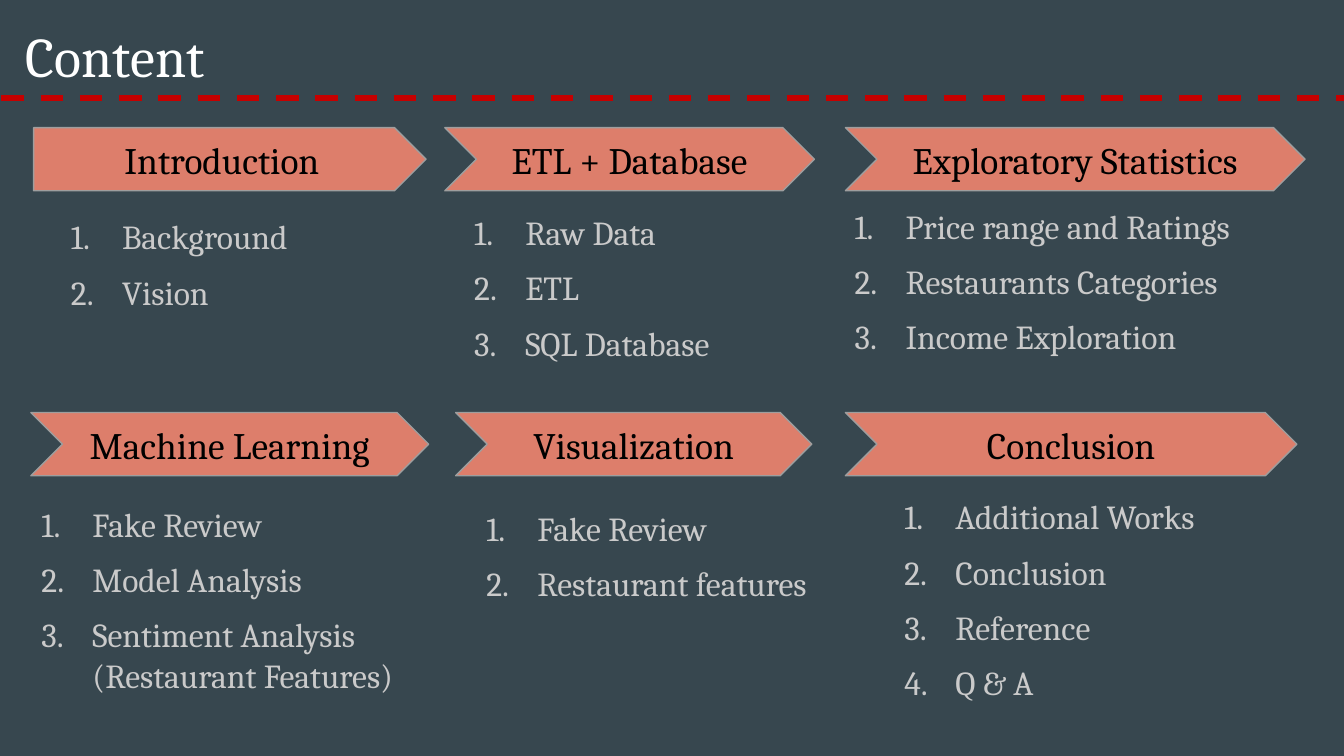
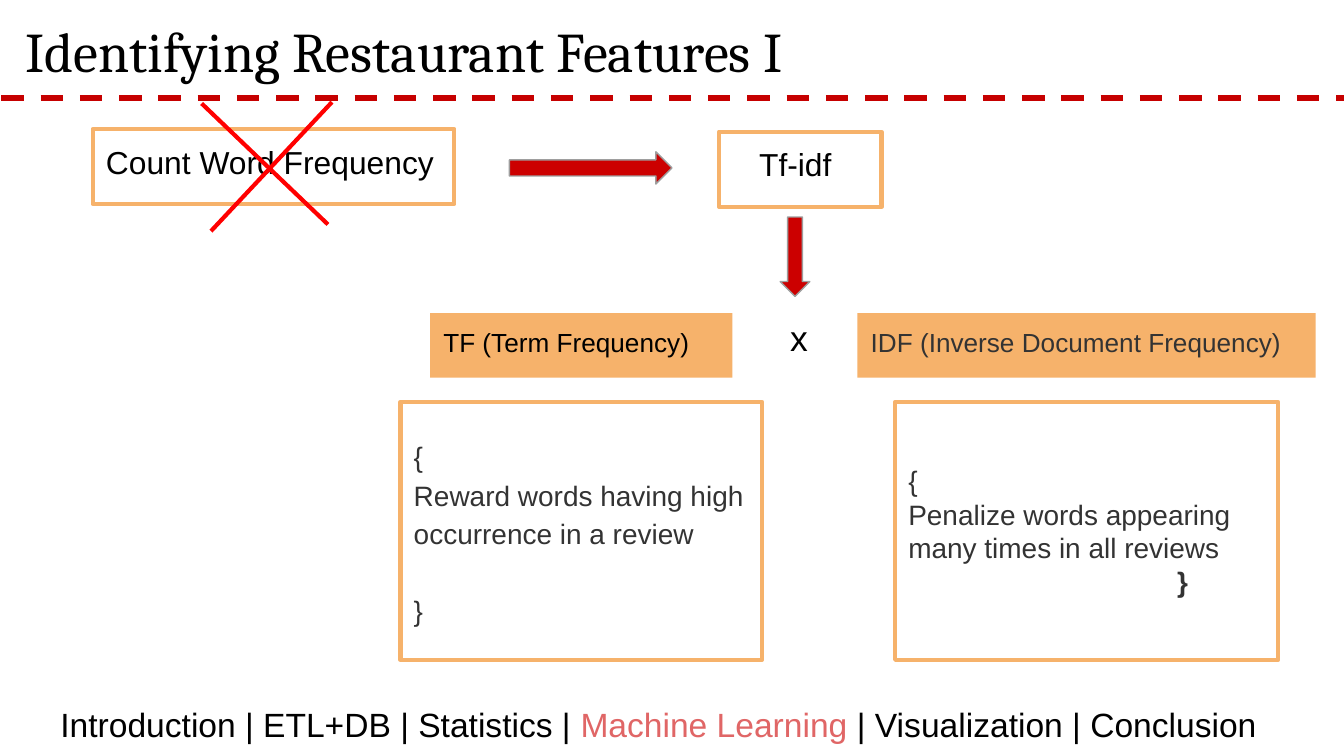
from dataclasses import dataclass

from lxml import etree
from pptx import Presentation
from pptx.dml.color import RGBColor
from pptx.enum.dml import MSO_LINE
from pptx.enum.shapes import MSO_CONNECTOR, MSO_SHAPE
from pptx.enum.text import MSO_ANCHOR, MSO_AUTO_SIZE, PP_ALIGN
from pptx.oxml.ns import qn
from pptx.util import Inches, Pt

RECT, ARROW = MSO_SHAPE.RECTANGLE, MSO_SHAPE.RIGHT_ARROW
PENTAGON, CHEVRON = MSO_SHAPE.PENTAGON, MSO_SHAPE.CHEVRON
TOP, MIDDLE = MSO_ANCHOR.TOP, MSO_ANCHOR.MIDDLE
LEFT, CENTER = PP_ALIGN.LEFT, PP_ALIGN.CENTER


@dataclass(frozen=True)
class Theme:
    serif: str = "Cambria"
    sans: str = "Arial"
    slate: str = "37474F"
    white: str = "FFFFFF"
    black: str = "000000"
    dark: str = "333333"
    pale: str = "CACACA"
    gray: str = "9E9E9E"
    salmon: str = "DD7E6B"
    orange: str = "F6B26B"
    rule: str = "C60000"
    arrow: str = "CC0000"
    cross: str = "FF0000"
    active: str = "E06666"
    title_size: int = 30
    banner_size: int = 20
    list_size: int = 18
    step_size: int = 17
    label_size: int = 14
    note_size: int = 15
    times_size: int = 19
    footer_size: int = 18


T = Theme()

# Banner: text, left, width; list: left, top, width, anchor, items
BANNER_H = 0.47
TOPIC_ROWS = [
    {"top": 0.95, "list_h": 1.16, "topics": [
        ("Introduction", 0.25, 2.92, (0.31, 1.51, 2.73, TOP),
         ["Background", "Vision"]),
        ("ETL + Database", 3.31, 2.75, (3.31, 1.56, 2.81, MIDDLE),
         ["Raw Data", "ETL", "SQL Database"]),
        ("Exploratory Statistics", 6.29, 3.42, (6.14, 1.51, 3.66, MIDDLE),
         ["Price range and Ratings", "Restaurants Categories",
          "Income Exploration"]),
    ]},
    {"top": 3.07, "list_h": 1.56, "topics": [
        ("Machine Learning", 0.23, 2.96, (0.09, 3.68, 3.16, MIDDLE),
         ["Fake Review", "Model Analysis",
          "Sentiment Analysis (Restaurant Features)"]),
        ("Visualization", 3.39, 2.65, (3.4, 3.68, 2.89, TOP),
         ["Fake Review", "Restaurant features"]),
        ("Conclusion", 6.29, 3.36, (6.51, 3.68, 2.92, MIDDLE),
         ["Additional Works", "Conclusion", "Reference", "Q & A"]),
    ]},
]

STEPS = [("Count Word Frequency", (0.69, 0.96, 2.69, 0.56), 0),
         ("Tf-idf", (5.35, 0.98, 1.21, 0.56), 0.2)]
CROSS = [((1.57, 1.72), (2.47, 0.76)), ((1.5, 0.77), (2.44, 1.67))]
ARROWS = [((3.79, 1.13, 1.21, 0.24), 0), ((5.62, 1.8, 0.59, 0.22), 90)]
FACTORS = [("TF (Term Frequency)", 3.2, 2.25, T.black),
           ("IDF (Inverse Document Frequency)", 6.38, 3.41, T.dark)]
TF_NOTE = ["{", "Reward words having high occurrence in a review", "}"]
IDF_NOTE = ["{", "Penalize words appearing many times in all reviews", "}"]
SECTIONS = ["Introduction", "ETL+DB", "Statistics", "Machine Learning",
            "Visualization", "Conclusion"]


def rgb(color):
    return RGBColor.from_string(color)


def style_run(r, size, color, font):
    r.font.size = Pt(size)
    r.font.name = font
    r.font.color.rgb = rgb(color)


def set_text(sp, lines, size, color, font=T.sans, align=LEFT, anchor=TOP):
    """Write one paragraph per line and return the paragraphs."""
    tf = sp.text_frame
    tf.word_wrap = True
    tf.auto_size = MSO_AUTO_SIZE.NONE
    tf.vertical_anchor = anchor
    tf.margin_left = tf.margin_right = Inches(0.1)
    tf.margin_top = tf.margin_bottom = Inches(0.1)
    tf.text = "\n".join(lines)
    for p in tf.paragraphs:
        p.alignment = align
        for r in p.runs:
            style_run(r, size, color, font)
    return tf.paragraphs


def indent(p, left, first=0):
    pPr = p._p.get_or_add_pPr()
    pPr.set("marL", str(Inches(left)))
    pPr.set("indent", str(Inches(first)))
    return pPr


def add_box(slide, kind, box, fill=None, line=None, width=0.75):
    sp = slide.shapes.add_shape(kind, *map(Inches, box))
    sp.shadow.inherit = False
    if fill:
        sp.fill.solid()
        sp.fill.fore_color.rgb = rgb(fill)
    else:
        sp.fill.background()
    if line:
        sp.line.color.rgb = rgb(line)
        sp.line.width = Pt(width)
    else:
        sp.line.fill.background()
    return sp


def add_frame(slide, box):
    return add_box(slide, RECT, box, line=T.orange, width=2.25)


def add_textbox(slide, box):
    return slide.shapes.add_textbox(*map(Inches, box))


def add_line(slide, start, end, color, width):
    cx = slide.shapes.add_connector(MSO_CONNECTOR.STRAIGHT,
                                    *map(Inches, start + end))
    cx.line.color.rgb = rgb(color)
    cx.line.width = Pt(width)
    etree.SubElement(cx._element.spPr, qn("a:effectLst"))
    return cx


def add_slide(prs, title, box, background, title_color):
    """Add a slide with its background, dashed rule and title."""
    slide = prs.slides.add_slide(prs.slide_layouts[5])
    slide.background.fill.solid()
    slide.background.fill.fore_color.rgb = rgb(background)
    rule = add_line(slide, (0.01, 0.73), (10.01, 0.73), T.rule, 3)
    rule.line.dash_style = MSO_LINE.DASH
    sp = slide.shapes.title
    sp.left, sp.top, sp.width, sp.height = map(Inches, box)
    set_text(sp, [title], T.title_size, title_color, T.serif)
    return slide


def add_numbered_list(slide, box, items, anchor):
    sp = add_textbox(slide, box)
    for p in set_text(sp, items, T.list_size, T.pale, T.serif, anchor=anchor):
        p.space_after = Pt(8)
        pPr = indent(p, 0.5, -0.38)
        bullet_color = etree.SubElement(pPr, qn("a:buClr"))
        etree.SubElement(bullet_color, qn("a:srgbClr"), val=T.pale)
        etree.SubElement(pPr, qn("a:buAutoNum"), type="arabicPeriod")


def add_footer(slide, active):
    sp = add_textbox(slide, (0, 5.15, 9.8, 0.48))
    p = set_text(sp, [""], T.footer_size, T.black, align=CENTER,
                 anchor=MIDDLE)[0]
    before, after = " | ".join(SECTIONS).split(active)
    for text, color in [(before, T.black), (active, T.active),
                        (after, T.black)]:
        r = p.add_run()
        r.text = text
        style_run(r, T.footer_size, color, T.sans)


def build_content(prs):
    slide = add_slide(prs, "Content", (0.09, 0.06, 1.73, 0.63),
                      T.slate, T.white)
    for row in TOPIC_ROWS:
        for name, left, width, (x, y, w, anchor), items in row["topics"]:
            kind = PENTAGON if name == "Introduction" else CHEVRON
            sp = add_box(slide, kind, (left, row["top"], width, BANNER_H),
                         T.salmon, T.gray)
            set_text(sp, [name], T.banner_size, T.black, T.serif,
                     CENTER, MIDDLE)
            add_numbered_list(slide, (x, y, w, row["list_h"]), items, anchor)


def build_features(prs):
    slide = add_slide(prs, "Identifying Restaurant Features I",
                      (0.09, 0.02, 7.02, 0.63), T.white, T.black)
    for text, box, left in STEPS:
        p = set_text(add_frame(slide, box), [text], T.step_size, T.black)[0]
        indent(p, left)
    for start, end in CROSS:
        add_line(slide, start, end, T.cross, 2.25)
    for box, angle in ARROWS:
        add_box(slide, ARROW, box, T.arrow, T.gray).rotation = angle

    for text, left, width, color in FACTORS:
        sp = add_box(slide, RECT, (left, 2.33, width, 0.48), T.orange)
        set_text(sp, [text], T.label_size, color)
    set_text(add_textbox(slide, (5.78, 2.25, 0.82, 0.56)), ["x"],
             T.times_size, T.black)

    sp = add_frame(slide, (6.66, 2.99, 2.85, 1.92))
    closing = set_text(sp, IDF_NOTE, T.note_size, T.dark, anchor=MIDDLE)[-1]
    indent(closing, 1.5, 0.5)
    closing.runs[0].font.bold = True

    sp = add_frame(slide, (2.98, 2.99, 2.69, 1.92))
    lines = set_text(sp, TF_NOTE, T.note_size, T.dark, anchor=MIDDLE)
    for p in lines:
        p.line_spacing = 1.15
    lines[-1].space_before = Pt(20.5)

    add_footer(slide, "Machine Learning")


def main():
    prs = Presentation()
    prs.slide_width = Inches(10)
    prs.slide_height = prs.slide_width * 9 // 16
    build_content(prs)
    build_features(prs)
    prs.save("out.pptx")


if __name__ == "__main__":
    main()
